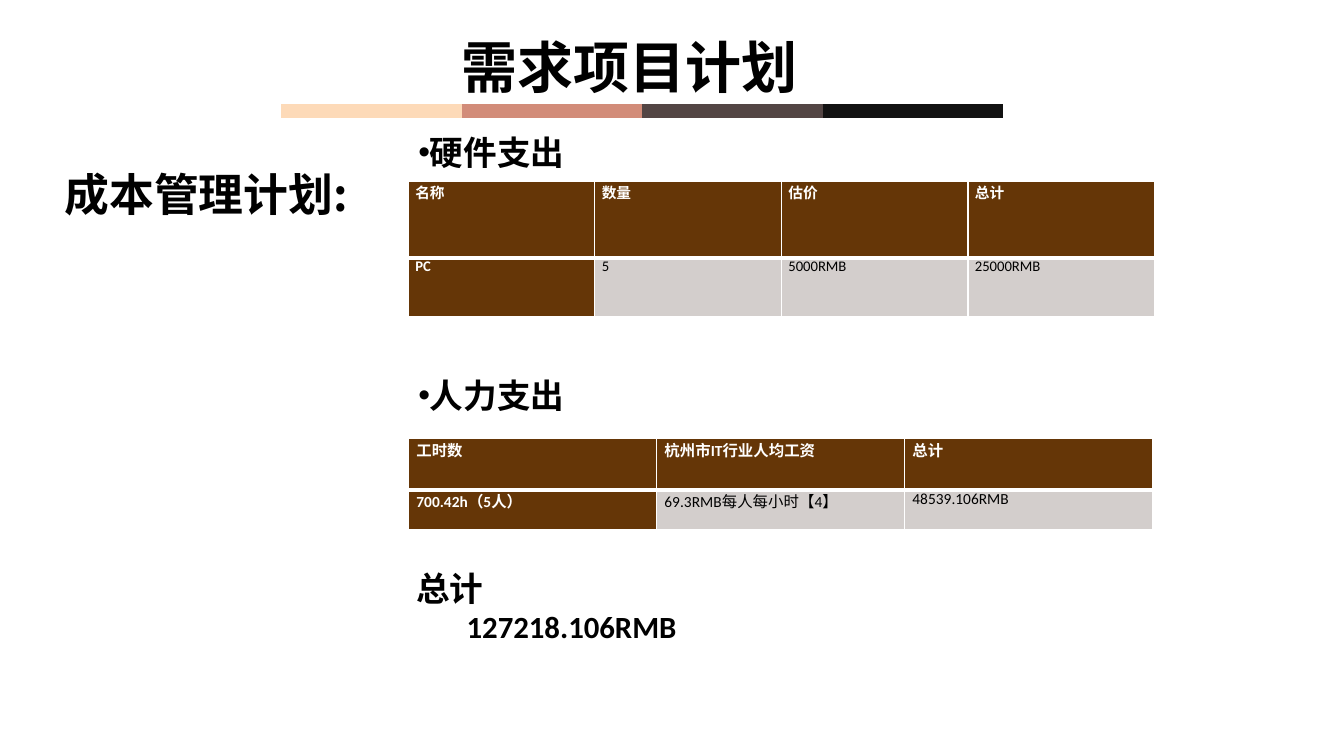
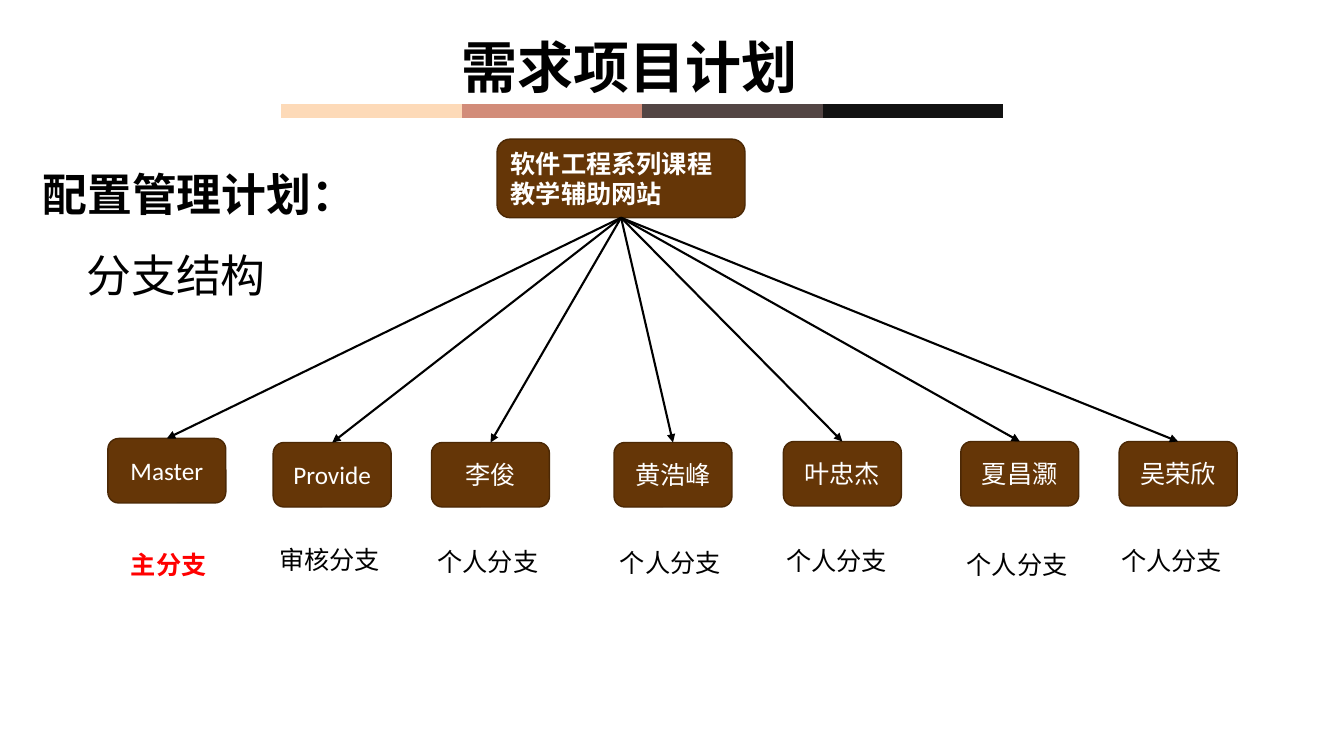
import dataclasses

import lxml.etree
import pptx
import pptx.dml.color
import pptx.enum.shapes
import pptx.enum.text
import pptx.oxml.ns
import pptx.util

PX = 9144  # 100 px to the inch
qn = pptx.oxml.ns.qn
Sub = lxml.etree.SubElement
Align = pptx.enum.text.PP_ALIGN
Shape = pptx.enum.shapes.MSO_SHAPE
Line = pptx.enum.shapes.MSO_CONNECTOR.STRAIGHT
Rgb = pptx.dml.color.RGBColor.from_string


@dataclasses.dataclass(frozen=True)
class Theme:
    black: str = "000000"
    white: str = "FFFFFF"
    red: str = "FF0000"
    brown: str = "653607"
    edge: str = "4B2805"
    grey: str = "D3CECC"
    bands: tuple = ("FDDAB8", "D28C79", "534544", "121212")
    title: int = 40
    head: int = 32
    sub: int = 24
    total: int = 22
    node: int = 18
    latin: str = "Calibri"
    cjk: str = "Noto Sans CJK SC"
    show: str = "Quicksand"


T = Theme()


def write(para, text, size, color=T.black, bold=False, face=T.latin):
    """Add one styled run to a paragraph."""
    run = para.add_run()
    run.text = text
    font = run.font
    font.size = pptx.util.Pt(size)
    font.bold = bold
    font.color.rgb = Rgb(color)
    font.name = face
    Sub(run._r.get_or_add_rPr(), qn("a:ea"), typeface=T.cjk)


def box(slide, x, y, w, h, wrap=False):
    """Add a text box that grows with its text; return its frame."""
    frame = slide.shapes.add_textbox(x * PX, y * PX, w * PX, h * PX).text_frame
    frame.word_wrap = wrap
    frame.auto_size = pptx.enum.text.MSO_AUTO_SIZE.SHAPE_TO_FIT_TEXT
    return frame


deck = pptx.Presentation()
deck.slide_width, deck.slide_height = 1333 * PX, 750 * PX
cost, config = (deck.slides.add_slide(deck.slide_layouts[6]) for _ in range(2))

# Shared bands, title and side heading
for slide, head, x, w in ((cost, "成本管理计划:", 48, 299),
                          (config, "配置管理计划：", 31, 334)):
    for i, color in enumerate(T.bands):
        left = 279 + 179 * i
        band = slide.shapes.add_connector(
            Line, left * PX, 110 * PX, (left + 179) * PX, 110 * PX)
        band.line.color.rgb = Rgb(color)
        band.line.width = pptx.util.Pt(10)
        Sub(band._element.spPr, qn("a:effectLst"))
    frame = box(slide, 448, 35, 477, 40, True)
    frame.auto_size = pptx.enum.text.MSO_AUTO_SIZE.NONE
    para = frame.paragraphs[0]
    para.line_spacing = 0.9
    write(para, "需求项目计划", T.title, bold=True, face=T.show)
    para = box(slide, x, 161, w, 64).paragraphs[0]
    para.alignment = Align.CENTER
    write(para, head, T.head, bold=True, face=T.cjk)

# Cost slide: two bulleted tables
tables = (
    ("硬件支出", 126, 180, 185, (76, 58), 7, 10.5,
     (("名称", "数量", "估价", "总计"),
      ("PC", "5", "5000RMB", "25000RMB"))),
    ("人力支出", 367, 435, 246, (51, 39), 8, 11,
     (("工时数", "杭州市IT行业人均工资", "总计"),
      ("700.42h（5人）", "69.3RMB每人每小时【4】", "48539.106RMB"))),
)
for name, top, y, wide, highs, pad, size, rows in tables:
    para = box(cost, 405, top, 169, 50).paragraphs[0]
    props = para._p.get_or_add_pPr()
    props.set("marL", "0")
    props.set("indent", "0")
    Sub(props, qn("a:buFont"), typeface="Arial")
    Sub(props, qn("a:buChar"), char="•")
    write(para, name, T.sub, bold=True, face=T.cjk)

    count = len(rows[0])
    grid = cost.shapes.add_table(len(rows), count, 405 * PX, y * PX,
                                 count * wide * PX, sum(highs) * PX).table
    for col in grid.columns:
        col.width = wide * PX
    for r, texts in enumerate(rows):
        grid.rows[r].height = highs[r] * PX
        for c, text in enumerate(texts):
            cell = grid.cell(r, c)
            cell.margin_left = cell.margin_right = pad * PX
            cell.margin_top = cell.margin_bottom = 0
            thick = "lnB" if r == 0 else "lnT"
            for side in ("lnL", "lnR", "lnT", "lnB"):
                points = 3 if side == thick else 1
                rule = Sub(cell._tc.get_or_add_tcPr(), qn("a:" + side),
                           w=str(pptx.util.Pt(points)))
                Sub(Sub(rule, qn("a:solidFill")), qn("a:srgbClr"), val=T.white)
            dark = r == 0 or c == 0
            cell.fill.solid()
            cell.fill.fore_color.rgb = Rgb(T.brown if dark else T.grey)
            para = cell.text_frame.paragraphs[0]
            para.alignment = Align.JUSTIFY
            write(para, text, size, T.white if dark else T.black, dark)

frame = box(cost, 353, 558, 667, 88, True)
for para, text, size, face, indent in (
        (frame.paragraphs[0], "总计", T.sub, T.cjk, 50),
        (frame.add_paragraph(), "127218.106RMB", T.total, T.latin, 100)):
    para._p.get_or_add_pPr().set("marL", str(indent * PX))
    write(para, text, size, bold=True, face=face)

# Config slide: branch tree
write(box(config, 76, 241, 224, 64, True).paragraphs[0], "分支结构", T.head)

# name, node x and y, label, label x, y and width
nodes = [
    ("软件工程系列课程教学辅助网站", 493, 138, None, 0, 0, 0),
    ("Master", 107, 435, "主分支", 120, 540, 96),
    ("Provide", 271, 439, "审核分支", 267, 535, 121),
    ("李俊", 428, 439, "个人分支", 424, 537, 121),
    ("黄浩峰", 609, 439, "个人分支", 605, 538, 121),
    ("叶忠杰", 777, 438, "个人分支", 770, 536, 121),
    ("夏昌灏", 953, 438, "个人分支", 949, 540, 121),
    ("吴荣欣", 1110, 438, "个人分支", 1102, 536, 121),
]
root = None
for name, x, y, label, left, top, wide in nodes:
    first = root is None
    w, h = (246, 78) if first else (117, 64)
    node = config.shapes.add_shape(Shape.ROUNDED_RECTANGLE,
                                   x * PX, y * PX, w * PX, h * PX)
    node.shadow.inherit = False
    node.fill.solid()
    node.fill.fore_color.rgb = Rgb(T.brown)
    node.line.color.rgb = Rgb(T.edge)
    node.line.width = pptx.util.Pt(1)
    node.text_frame.word_wrap = True
    node.text_frame.vertical_anchor = pptx.enum.text.MSO_ANCHOR.MIDDLE
    para = node.text_frame.paragraphs[0]
    para.alignment = Align.LEFT if first else Align.CENTER
    write(para, name, T.node, T.white, first)
    if first:
        root = node
        continue

    arrow = config.shapes.add_connector(Line, 0, 0, 0, 0)
    arrow.begin_connect(root, 2)
    arrow.end_connect(node, 0)
    arrow.line.color.rgb = Rgb(T.black)
    arrow.line.width = pptx.util.Pt(1.5)
    Sub(arrow.line._get_or_add_ln(), qn("a:tailEnd"), type="triangle")
    Sub(arrow._element.spPr, qn("a:effectLst"))

    main = label == "主分支"
    write(box(config, left, top, wide, 40).paragraphs[0], label, T.node,
          T.red if main else T.black, main)

deck.save("out.pptx")
